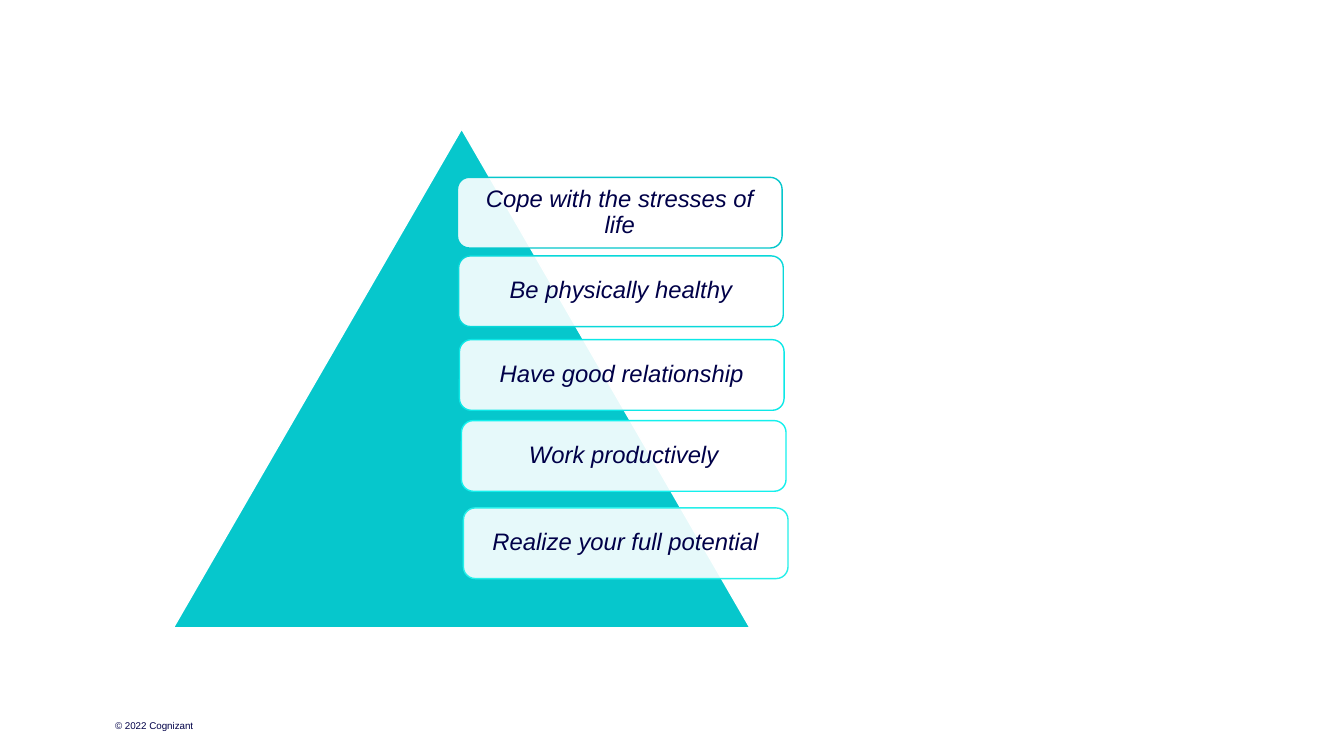
from lxml import etree
from pptx import Presentation
from pptx.dml.color import RGBColor
from pptx.enum.shapes import MSO_SHAPE
from pptx.enum.text import MSO_ANCHOR, PP_ALIGN
from pptx.oxml.ns import qn
from pptx.util import Cm, Pt

TRIANGLE = MSO_SHAPE.ISOSCELES_TRIANGLE
ROUNDED = MSO_SHAPE.ROUNDED_RECTANGLE
MIDDLE, BOTTOM = MSO_ANCHOR.MIDDLE, MSO_ANCHOR.BOTTOM
LEFT, CENTER = PP_ALIGN.LEFT, PP_ALIGN.CENTER

NAVY, TEAL, WHITE = "000048", "06C7CC", "FFFFFF"
BOX_W, BOX_H = 8.18, 1.78

# left, top, outline, wording
GOALS = [
    (11.53, 4.47, TEAL, "Cope with the stresses of life"),
    (11.56, 6.45, "09D8DA", "Be physically healthy"),
    (11.58, 8.56, "0CE8E7", "Have good relationship"),
    (11.63, 10.6, "14F0ED", "Work productively"),
    (11.68, 12.8, "26EFE9", "Realize your full potential"),
]


def paint(color, code):
    color.rgb = RGBColor.from_string(code)


def fade(shape, percent):
    """Set the opacity of a shape's solid fill."""
    color = shape.fill._xPr.find(qn("a:solidFill"))[0]
    etree.SubElement(color, qn("a:alpha"), val=str(percent * 1000))


def write(shape, text, size, align=LEFT, anchor=MIDDLE, italic=False,
          inset=0, wrap=True, spacing=1.0):
    frame = shape.text_frame
    frame.word_wrap = wrap
    frame.vertical_anchor = anchor
    frame.margin_left = frame.margin_right = Cm(inset)
    frame.margin_top = frame.margin_bottom = Cm(inset)
    para = frame.paragraphs[0]
    para.alignment = align
    para.line_spacing = spacing
    run = para.add_run()
    run.text = text
    run.font.name = "Arial"
    run.font.size = Pt(size)
    run.font.italic = italic
    paint(run.font.color, NAVY)


def add_form(slide, kind, left, top, width, height, fill, line):
    shape = slide.shapes.add_shape(
        kind, Cm(left), Cm(top), Cm(width), Cm(height))
    shape.shadow.inherit = False
    shape.fill.solid()
    paint(shape.fill.fore_color, fill)
    paint(shape.line.color, line)
    shape.line.width = Pt(1)
    return shape


def add_goal(slide, left, top, line, text):
    box = add_form(slide, ROUNDED, left, top, BOX_W, BOX_H, WHITE, line)
    fade(box, 90)
    write(box, text, 17, align=CENTER, italic=True, inset=0.18, spacing=0.9)


def add_footer(slide, text):
    box = slide.shapes.add_textbox(Cm(2.9), Cm(17.4), Cm(3.33), Cm(1.02))
    write(box, text, 7, anchor=BOTTOM, wrap=False)


def main():
    deck = Presentation()
    deck.slide_width, deck.slide_height = Cm(33.87), Cm(19.05)
    slide = deck.slides.add_slide(deck.slide_layouts[6])
    add_footer(slide, "© 2022 Cognizant")
    add_form(slide, TRIANGLE, 4.37, 3.25, 14.53, 12.57, TEAL, WHITE)
    for goal in GOALS:
        add_goal(slide, *goal)
    deck.save("out.pptx")


if __name__ == "__main__":
    main()
